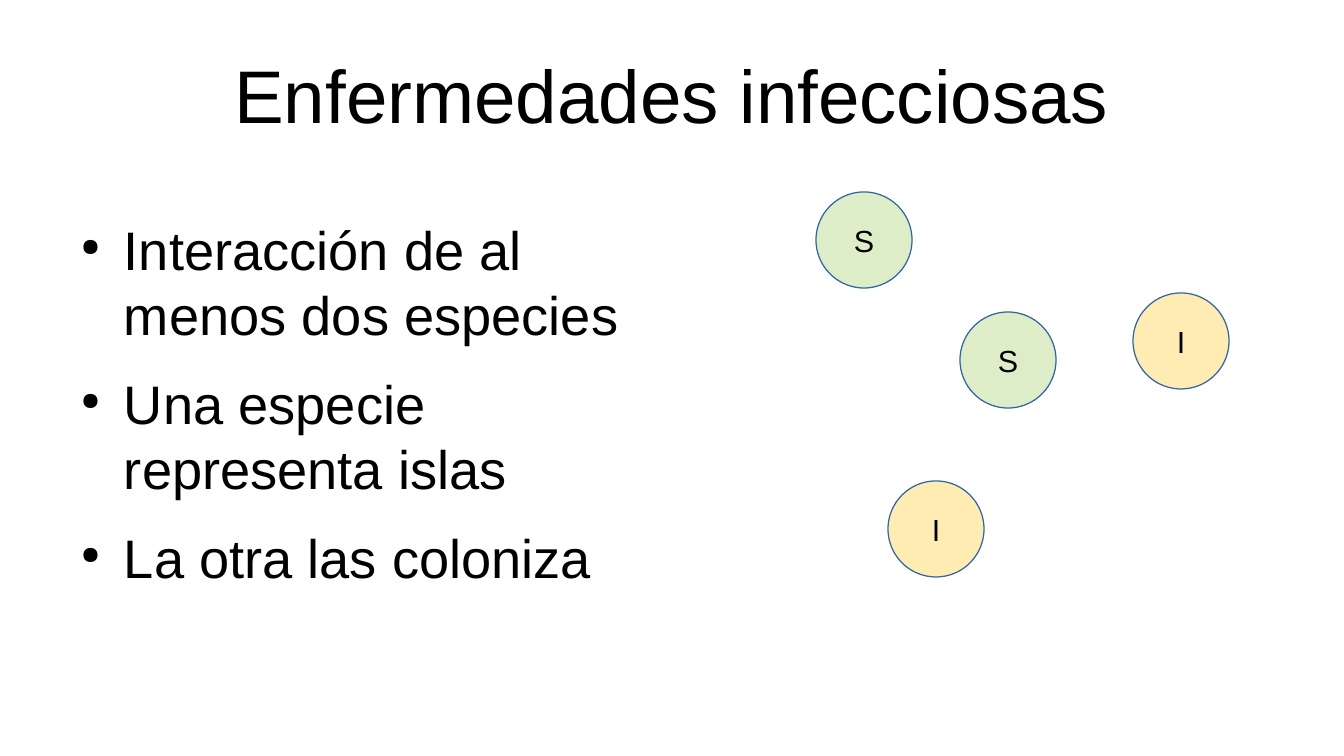
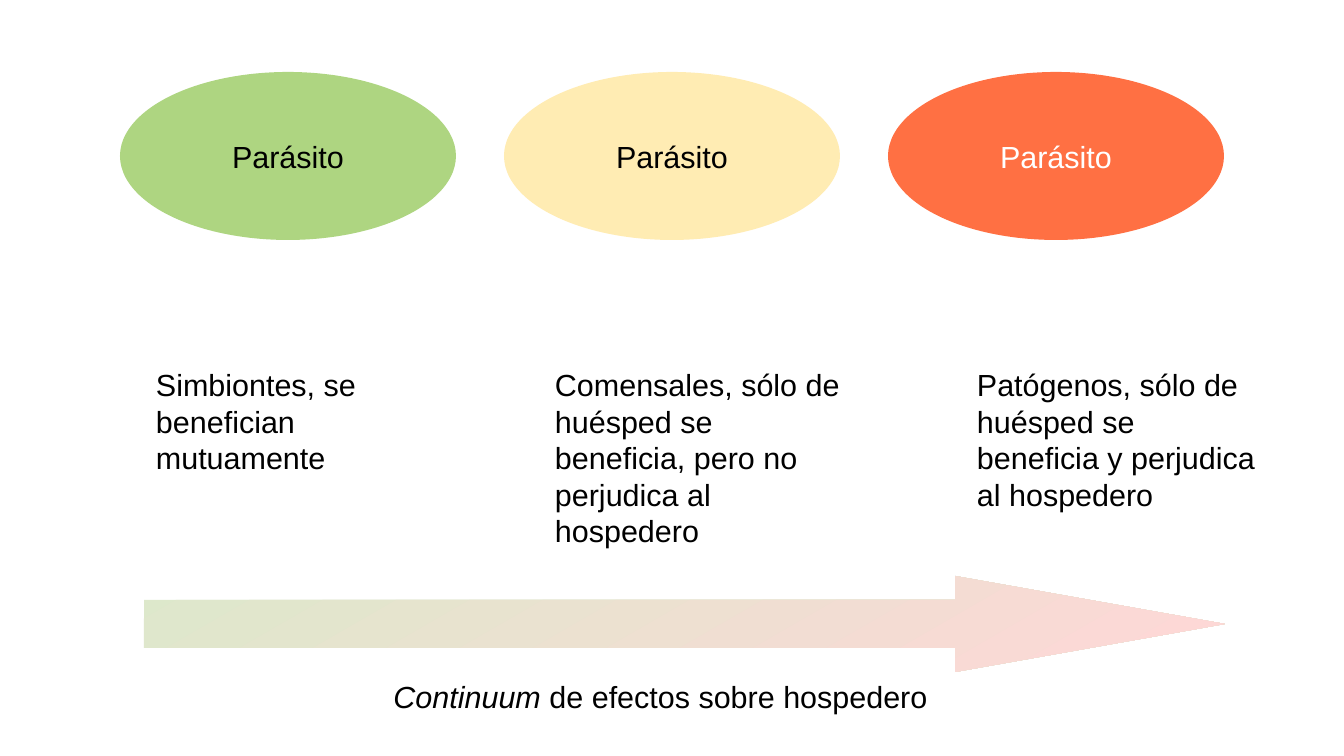
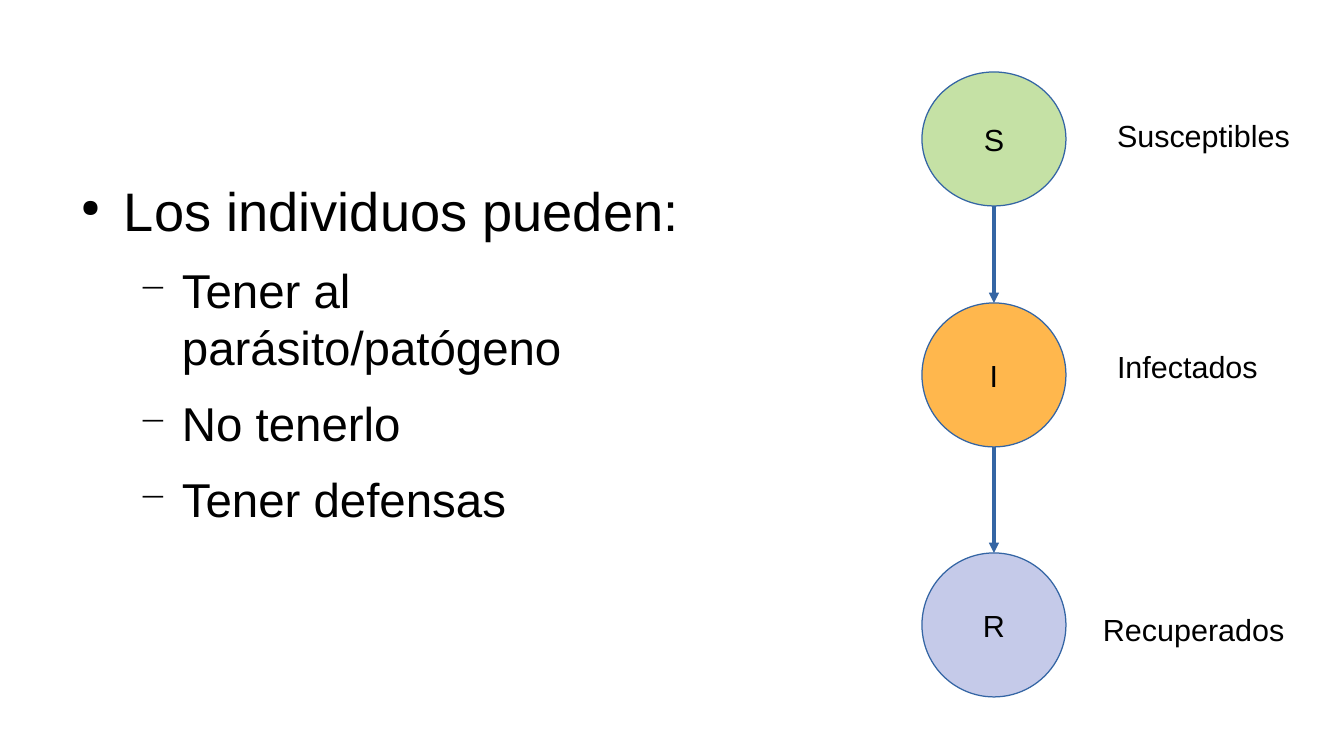
from lxml import etree
from pptx import Presentation
from pptx.dml.color import RGBColor
from pptx.enum.shapes import MSO_CONNECTOR, MSO_SHAPE
from pptx.enum.text import MSO_ANCHOR, PP_ALIGN
from pptx.oxml.ns import qn
from pptx.util import Emu, Pt

PX = 914400 / 122
SLIDE_WIDTH, SLIDE_HEIGHT = 1344, 756
BLANK_LAYOUT = 6

ELLIPSE, RIGHT_ARROW = MSO_SHAPE.OVAL, MSO_SHAPE.RIGHT_ARROW
STRAIGHT = MSO_CONNECTOR.STRAIGHT
CENTER, LEFT = PP_ALIGN.CENTER, PP_ALIGN.LEFT
MIDDLE, TOP = MSO_ANCHOR.MIDDLE, MSO_ANCHOR.TOP

FONT = "Arial"
BLACK, WHITE, OUTLINE = "000000", "FFFFFF", "3465A4"
PALE_GREEN, PALE_YELLOW = "DCEDC8", "FFECB3"
TITLE_SIZE, LABEL_SIZE = 44, 18
NO_MARGINS = dict.fromkeys(
    ("margin_left", "margin_top", "margin_right", "margin_bottom"), 0)

# One entry per outline level; indents are in px, sizes and spacing in points.
LEVELS = (
    {"size": 32, "before": 14.2, "left": 57, "bullet": "●", "percent": 45},
    {"size": 28, "before": 11.3, "left": 115, "bullet": "−", "percent": 75},
)
HANGING = 43


def px(length):
    return Emu(round(length * PX))


def box_emu(box):
    return [px(length) for length in box]


def rgb(color):
    return RGBColor.from_string(color)


def set_attributes(target, values):
    for name, value in values.items():
        setattr(target, name, value)


def add_run(paragraph, text, size=LABEL_SIZE, color=BLACK, italic=False):
    run = paragraph.add_run()
    run.text = text
    set_attributes(run.font, {"name": FONT, "size": Pt(size), "italic": italic})
    run.font.color.rgb = rgb(color)


def add_text(slide, box, text="", size=LABEL_SIZE, align=LEFT, anchor=TOP,
             margins=None):
    """Add a wrapping text box and return its text frame."""
    frame = slide.shapes.add_textbox(*box_emu(box)).text_frame
    set_attributes(frame, {"word_wrap": True, "vertical_anchor": anchor,
                           **(margins or {})})
    paragraph = frame.paragraphs[0]
    paragraph.alignment = align
    if text:
        add_run(paragraph, text, size)
    return frame


def add_title(slide, box, text):
    add_text(slide, box, text, TITLE_SIZE, CENTER, MIDDLE, NO_MARGINS)


def set_bullet(paragraph, level):
    properties = paragraph._p.get_or_add_pPr()
    properties.set("marL", str(px(level["left"])))
    properties.set("indent", str(-px(HANGING)))
    color = etree.SubElement(properties, qn("a:buClr"))
    etree.SubElement(color, qn("a:srgbClr"), val=BLACK)
    etree.SubElement(properties, qn("a:buSzPct"), val=str(level["percent"] * 1000))
    etree.SubElement(properties, qn("a:buChar"), char=level["bullet"])


def add_outline(slide, box, items):
    """Add a bulleted list of (level, text) items."""
    frame = add_text(slide, box, margins=NO_MARGINS)
    for index, (depth, text) in enumerate(items):
        paragraph = frame.add_paragraph() if index else frame.paragraphs[0]
        level = LEVELS[depth]
        set_attributes(paragraph, {"level": depth, "alignment": LEFT,
                                   "space_before": Pt(level["before"])})
        set_bullet(paragraph, level)
        add_run(paragraph, text, level["size"])


def add_ellipse(slide, box, text, fill, color=BLACK, outline=None):
    shape = slide.shapes.add_shape(ELLIPSE, *box_emu(box))
    shape.shadow.inherit = False
    shape.fill.solid()
    shape.fill.fore_color.rgb = rgb(fill)
    if outline:
        shape.line.color.rgb = rgb(outline)
        shape.line.width = 0
    else:
        shape.line.fill.background()
    shape.text_frame.vertical_anchor = MIDDLE
    paragraph = shape.text_frame.paragraphs[0]
    paragraph.alignment = CENTER
    add_run(paragraph, text, color=color)
    return shape


def add_transition(slide, source, target):
    """Draw an arrow from the bottom of one ellipse to the top of the next."""
    center = source.left + source.width // 2
    arrow = slide.shapes.add_connector(
        STRAIGHT, center, source.top + source.height, center, target.top)
    arrow.end_connect(target, 0)
    arrow.line.color.rgb = rgb(OUTLINE)
    arrow.line.width = 0
    etree.SubElement(arrow.line._get_or_add_ln(), qn("a:tailEnd"), type="triangle")
    etree.SubElement(arrow._element.spPr, qn("a:effectLst"))


def add_continuum(slide, box):
    """Draw the gradient arrow with its caption underneath."""
    left, top, width, height = box
    arrow = slide.shapes.add_shape(RIGHT_ARROW, *box_emu(box))
    arrow.shadow.inherit = False
    arrow.adjustments[0], arrow.adjustments[1] = 0.5, 2.81
    arrow.line.fill.background()
    arrow.fill.gradient()
    arrow.fill.gradient_angle = 300
    stops = ((0, "DDE8CB"), (1, "FFD7D7"))
    for stop, (position, color) in zip(arrow.fill.gradient_stops, stops):
        stop.position = position
        stop.color.rgb = rgb(color)
    caption = add_text(slide, (left + 24, top + height, width - 96, 46),
                       align=CENTER).paragraphs[0]
    add_run(caption, "Continuum", italic=True)
    add_run(caption, " de efectos sobre hospedero")


def add_population(slide, box):
    """Scatter susceptible and infected individuals inside the box."""
    left, top, size = box
    individuals = (("S", PALE_GREEN, 0, 0), ("I", PALE_YELLOW, 72, 289),
                   ("S", PALE_GREEN, 144, 120), ("I", PALE_YELLOW, 317, 101))
    for text, fill, across, down in individuals:
        add_ellipse(slide, (left + across, top + down, size, size), text, fill,
                    outline=OUTLINE)


def add_compartments(slide, box):
    """Stack the S, I and R compartments with labels and arrows."""
    left, top, width = box
    compartments = (
        ("S", "C5E1A5", 0, 134, "Susceptibles", 183, 39),
        ("I", "FFB74D", 231, 144, "Infectados", 183, 270),
        ("R", "C5CAE9", 481, 144, "Recuperados", 169, 533),
    )
    previous = None
    for text, fill, down, height, label, label_across, label_down in compartments:
        ellipse = add_ellipse(slide, (left, top + down, width, height), text,
                              fill, outline=OUTLINE)
        add_text(slide, (left + label_across, top + label_down, 230, 46), label)
        if previous is not None:
            add_transition(slide, previous, ellipse)
        previous = ellipse


def build_diseases(slide):
    add_title(slide, (67, 30, 1210, 127), "Enfermedades infecciosas")
    add_outline(slide, (67, 216, 590, 439), (
        (0, "Interacción de al menos dos especies"),
        (0, "Una especie representa islas"),
        (0, "La otra las coloniza"),
    ))
    add_population(slide, (816, 192, 96))


def build_parasites(slide):
    left, top, width, height, pitch = 120, 72, 336, 168, 384
    parasites = (
        ("AED581", BLACK, 144, "Simbiontes, se benefician mutuamente"),
        (PALE_YELLOW, BLACK, 543, "Comensales, sólo de huésped se beneficia, "
                                  "pero no perjudica al hospedero"),
        ("FF7043", WHITE, 965, "Patógenos, sólo de huésped se beneficia y "
                               "perjudica al hospedero"),
    )
    for column, (fill, color, text_left, description) in enumerate(parasites):
        add_ellipse(slide, (left + column * pitch, top, width, height),
                    "Parásito", fill, color)
        add_text(slide, (text_left, 360, 312, 183), description)
    add_continuum(slide, (144, 576, 1081, 96))


def build_individuals(slide):
    add_outline(slide, (67, 177, 630, 439), (
        (0, "Los individuos pueden:"),
        (1, "Tener al parásito/patógeno"),
        (1, "No tenerlo"),
        (1, "Tener defensas"),
    ))
    add_compartments(slide, (922, 72, 144))


def main():
    presentation = Presentation()
    presentation.slide_width = px(SLIDE_WIDTH)
    presentation.slide_height = px(SLIDE_HEIGHT)
    for build in (build_diseases, build_parasites, build_individuals):
        build(presentation.slides.add_slide(
            presentation.slide_layouts[BLANK_LAYOUT]))
    presentation.save("out.pptx")


if __name__ == "__main__":
    main()
